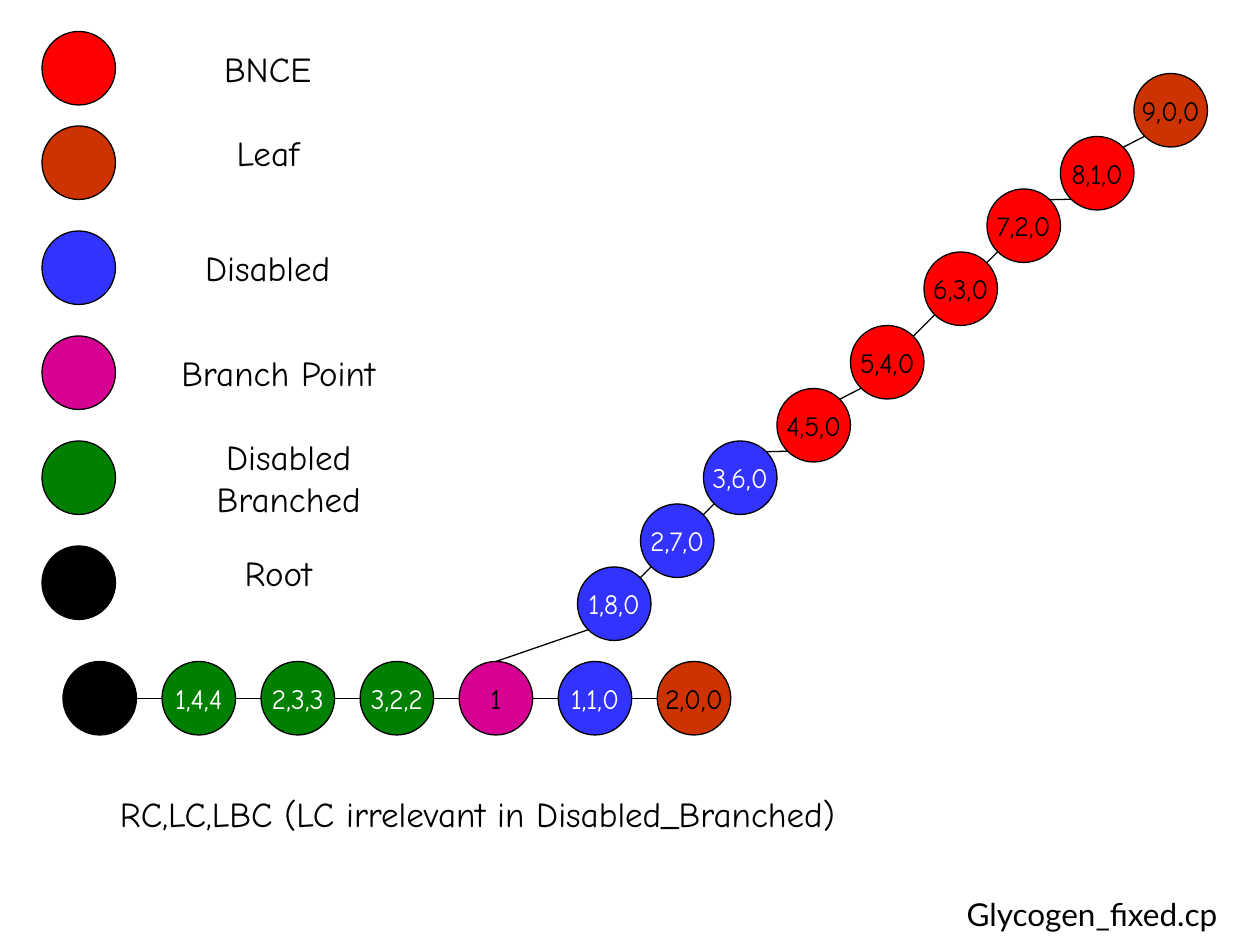
from itertools import pairwise
from math import sqrt

from lxml.etree import SubElement
from pptx import Presentation
from pptx.dml.color import RGBColor
from pptx.enum.shapes import MSO_CONNECTOR as Connector, MSO_SHAPE as Shape
from pptx.enum.text import MSO_ANCHOR as Anchor, PP_ALIGN as Align
from pptx.oxml.ns import qn
from pptx.util import Pt

BLACK, WHITE = "000000", "FFFFFF"
RED, RUST, BLUE = "FF0000", "CC3300", "3333FF"
MAGENTA, GREEN = "D60093", "008000"
HAND, SANS = "Comic Neue", "Lato"

DIAMETER = 42
RADIUS = DIAMETER / 2
NEAR = RADIUS * (1 - sqrt(0.5))
FAR = DIAMETER - NEAR
STEM_LEFT, STEM_TOP, STEM_STEP = 36, 378, 56.6
BRANCH_INDEX = 4

LEGEND = [
    ("BNCE", RED, 18, 90, 24),
    ("Leaf", RUST, 72, 90, 72),
    ("Disabled", BLUE, 132, 90, 138),
    ("Branch Point", MAGENTA, 192, 96, 198),
    ("Disabled Branched", GREEN, 252, 102, 258),
    ("Root", BLACK, 312, 96, 312),
]
STEM = [
    ("", BLACK),
    ("1,4,4", GREEN),
    ("2,3,3", GREEN),
    ("3,2,2", GREEN),
    ("1", MAGENTA),
    ("1,1,0", BLUE),
    ("2,0,0", RUST),
]
BRANCH = [
    ("1,8,0", BLUE, 330, 324),
    ("2,7,0", BLUE, 366, 288),
    ("3,6,0", BLUE, 402, 252),
    ("4,5,0", RED, 444, 222),
    ("5,4,0", RED, 486, 186),
    ("6,3,0", RED, 528, 144),
    ("7,2,0", RED, 564, 108),
    ("8,1,0", RED, 606, 78),
    ("9,0,0", RUST, 648, 42),
]


def color(value):
    return RGBColor.from_string(value)


def write(frame, wording, size, font_name=HAND, ink=BLACK):
    frame.word_wrap = False
    frame.vertical_anchor = Anchor.MIDDLE
    line = frame.paragraphs[0]
    line.alignment = Align.CENTER
    run = line.add_run()
    run.text = wording
    run.font.size = Pt(size)
    run.font.name = font_name
    run.font.color.rgb = color(ink)


def add_node(slide, left, top, fill, counts=""):
    node = slide.shapes.add_shape(
        Shape.OVAL, Pt(left), Pt(top), Pt(DIAMETER), Pt(DIAMETER))
    node.shadow.inherit = False
    node.fill.solid()
    node.fill.fore_color.rgb = color(fill)
    node.line.color.rgb = color(BLACK)
    node.line.width = Pt(0.75)
    if counts:
        ink = WHITE if fill in (GREEN, BLUE) else BLACK
        write(node.text_frame, counts, 16, ink=ink)


def add_bond(slide, x1, y1, x2, y2):
    bond = slide.shapes.add_connector(
        Connector.STRAIGHT, Pt(x1), Pt(y1), Pt(x2), Pt(y2))
    bond.line.color.rgb = color(BLACK)
    bond.line.width = Pt(0.75)
    SubElement(bond._element.spPr, qn("a:effectLst"))


def add_label(slide, left, top, width, height, wording, size=20, font_name=HAND):
    label = slide.shapes.add_textbox(Pt(left), Pt(top), Pt(width), Pt(height))
    write(label.text_frame, wording, size, font_name)


def add_stem(slide):
    lefts = [STEM_LEFT + STEM_STEP * i for i in range(len(STEM))]
    for left, (counts, fill) in zip(lefts, STEM):
        add_node(slide, left, STEM_TOP, fill, counts)
    middle = STEM_TOP + RADIUS
    for left, next_left in pairwise(lefts):
        add_bond(slide, left + DIAMETER, middle, next_left, middle)


def add_branch(slide):
    for counts, fill, left, top in BRANCH:
        add_node(slide, left, top, fill, counts)
    starts = [(STEM_LEFT + STEM_STEP * BRANCH_INDEX + RADIUS, STEM_TOP)]
    starts += [(left + FAR, top + NEAR) for _, _, left, top in BRANCH[:-1]]
    for (x, y), (_, _, left, top) in zip(starts, BRANCH):
        add_bond(slide, x, y, left + NEAR, top + FAR)


def add_legend(slide):
    for wording, fill, node_top, label_left, label_top in LEGEND:
        add_node(slide, 24, node_top, fill)
        add_label(slide, label_left, label_top, 126, 30, wording)


def main():
    deck = Presentation()
    deck.slide_width, deck.slide_height = Pt(720), Pt(540)
    slide = deck.slides.add_slide(deck.slide_layouts[6])
    add_stem(slide)
    add_branch(slide)
    add_legend(slide)
    add_label(slide, 12, 450, 522, 30,
              "RC,LC,LBC (LC irrelevant in Disabled_Branched)")
    add_label(slide, 528, 504, 192, 36, "Glycogen_fixed.cp", 18, SANS)
    deck.save("out.pptx")


if __name__ == "__main__":
    main()
